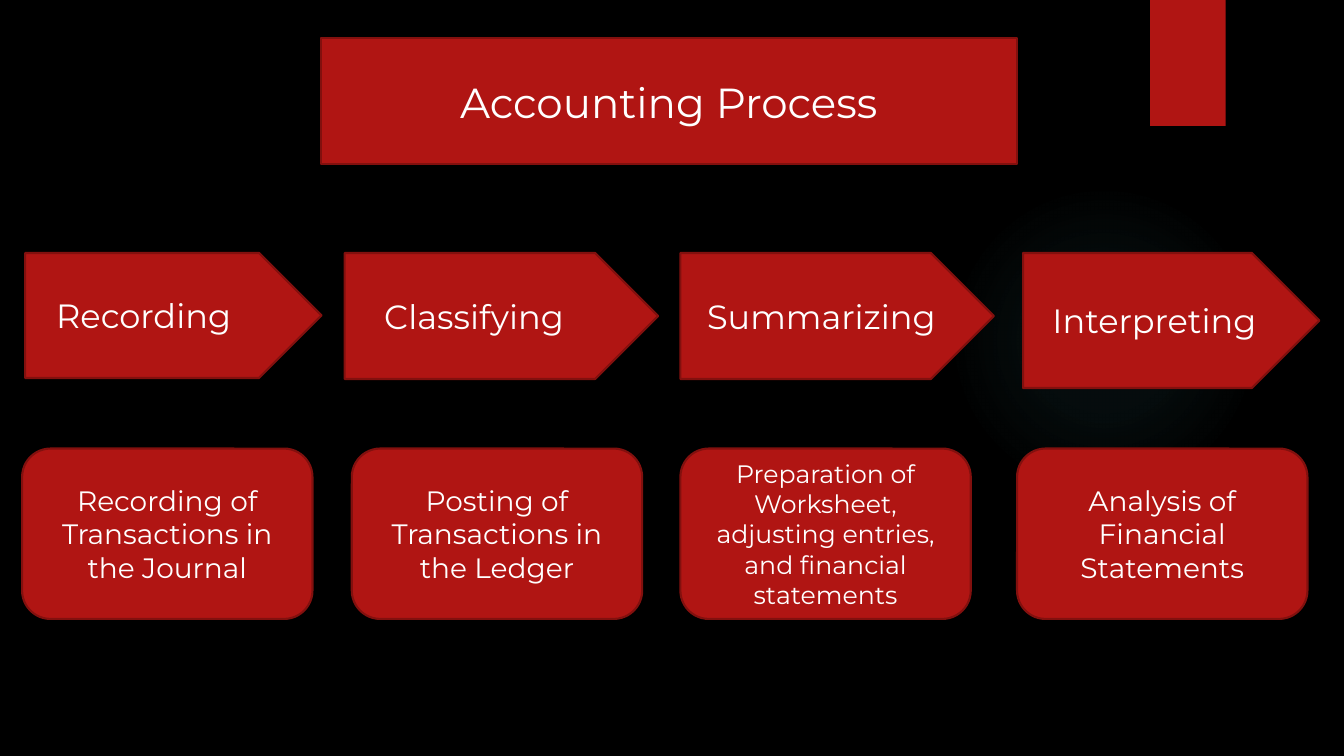
from lxml import etree
from pptx import Presentation
from pptx.dml.color import RGBColor
from pptx.enum.shapes import MSO_SHAPE
from pptx.enum.text import MSO_ANCHOR, PP_ALIGN
from pptx.oxml.ns import nsdecls
from pptx.util import Pt

OVAL = MSO_SHAPE.OVAL
RECTANGLE = MSO_SHAPE.RECTANGLE
PENTAGON = MSO_SHAPE.PENTAGON
ROUNDED = MSO_SHAPE.ROUNDED_RECTANGLE
CENTER = PP_ALIGN.CENTER
MIDDLE = MSO_ANCHOR.MIDDLE

TITLE = "Accounting Process"
STAGES = [
    {"step": "Recording", "left": 18, "width": 211.7, "height": 89.3, "inset": 27.2,
     "detail": "Recording of Transactions in the Journal", "detail_left": 15.8},
    {"step": "Classifying", "left": 246.2, "width": 223.9, "height": 90, "inset": 23.6,
     "detail": "Posting of Transactions in the Ledger", "detail_left": 251.3},
    {"step": "Summarizing", "left": 486, "width": 223.9, "height": 90, "inset": 7.2,
     "detail": "Preparation of Worksheet, adjusting entries, and financial statements",
     "detail_left": 486, "detail_size": "dense"},
    {"step": "Interpreting", "left": 730.8, "width": 211.7, "height": 96.5, "inset": 7.2,
     "detail": "Analysis of Financial Statements", "detail_left": 726.5},
]

THEME = {
    "background": RGBColor.from_string("000000"),
    "panel": RGBColor.from_string("B01513"),
    "outline": RGBColor.from_string("82100E"),
    "text": RGBColor.from_string("FFFFFF"),
    "glow": "50B9C1",
    "shadow": "000000",
    "font": "Montserrat",
    "sizes": {"title": 30, "step": 24, "detail": 20, "dense": 18},
}
GLOW_STOPS = [(0, 7), (36, 6), (69, 0)]
STEP_TOP = 180.7
DETAIL_TOP, DETAIL_WIDTH, DETAIL_HEIGHT = 320.4, 207.4, 121.7


def apply(target, values):
    for name, value in values.items():
        setattr(target, name, value)


def add_panel(slide, kind, box):
    panel = slide.shapes.add_shape(kind, *(Pt(length) for length in box))
    panel.shadow.inherit = False
    panel.fill.solid()
    panel.fill.fore_color.rgb = THEME["panel"]
    panel.line.fill.background()
    return panel


def add_label(slide, kind, box, words, size, inset=7.2):
    panel = add_panel(slide, kind, box)
    panel.line.color.rgb = THEME["outline"]
    panel.line.width = Pt(1.5)
    frame = panel.text_frame
    apply(frame, {"word_wrap": True, "vertical_anchor": MIDDLE, "margin_right": Pt(inset)})
    paragraph = frame.paragraphs[0]
    paragraph.alignment = CENTER
    run = paragraph.add_run()
    run.text = words
    apply(run.font, {"name": THEME["font"], "size": Pt(THEME["sizes"][size])})
    run.font.color.rgb = THEME["text"]


def add_glow(slide):
    glow = add_panel(slide, OVAL, (677.5, 131.8, 221.8, 221.8))
    stops = "".join(
        f'<a:gs pos="{position * 1000}"><a:srgbClr val="{THEME["glow"]}">'
        f'<a:alpha val="{alpha * 1000}"/></a:srgbClr></a:gs>'
        for position, alpha in GLOW_STOPS)
    gradient = etree.fromstring(
        f'<a:gradFill {nsdecls("a")} rotWithShape="1"><a:gsLst>{stops}</a:gsLst>'
        '<a:path path="circle"><a:fillToRect l="50000" t="50000" r="50000" b="50000"/>'
        '</a:path></a:gradFill>')
    properties = glow.element.spPr
    properties.replace(properties.find("{*}solidFill"), gradient)


def add_ribbon(slide):
    ribbon = add_panel(slide, RECTANGLE, (821.5, 0, 54, 90))
    shadow = etree.fromstring(
        f'<a:outerShdw {nsdecls("a")} blurRad="{Pt(3)}" dist="{Pt(2)}" dir="5400000">'
        f'<a:srgbClr val="{THEME["shadow"]}"><a:alpha val="45000"/></a:srgbClr></a:outerShdw>')
    ribbon.element.spPr.find("{*}effectLst").append(shadow)


def main():
    deck = Presentation()
    apply(deck, {"slide_width": Pt(960), "slide_height": Pt(540)})
    slide = deck.slides.add_slide(deck.slide_layouts[6])
    slide.background.fill.solid()
    slide.background.fill.fore_color.rgb = THEME["background"]
    add_glow(slide)
    add_ribbon(slide)
    add_label(slide, RECTANGLE, (229, 27.4, 497.5, 90), TITLE, "title")
    for stage in STAGES:
        step_box = (stage["left"], STEP_TOP, stage["width"], stage["height"])
        add_label(slide, PENTAGON, step_box, stage["step"], "step", stage["inset"])
        detail_box = (stage["detail_left"], DETAIL_TOP, DETAIL_WIDTH, DETAIL_HEIGHT)
        add_label(slide, ROUNDED, detail_box, stage["detail"],
                  stage.get("detail_size", "detail"))
    deck.save("out.pptx")


if __name__ == "__main__":
    main()
